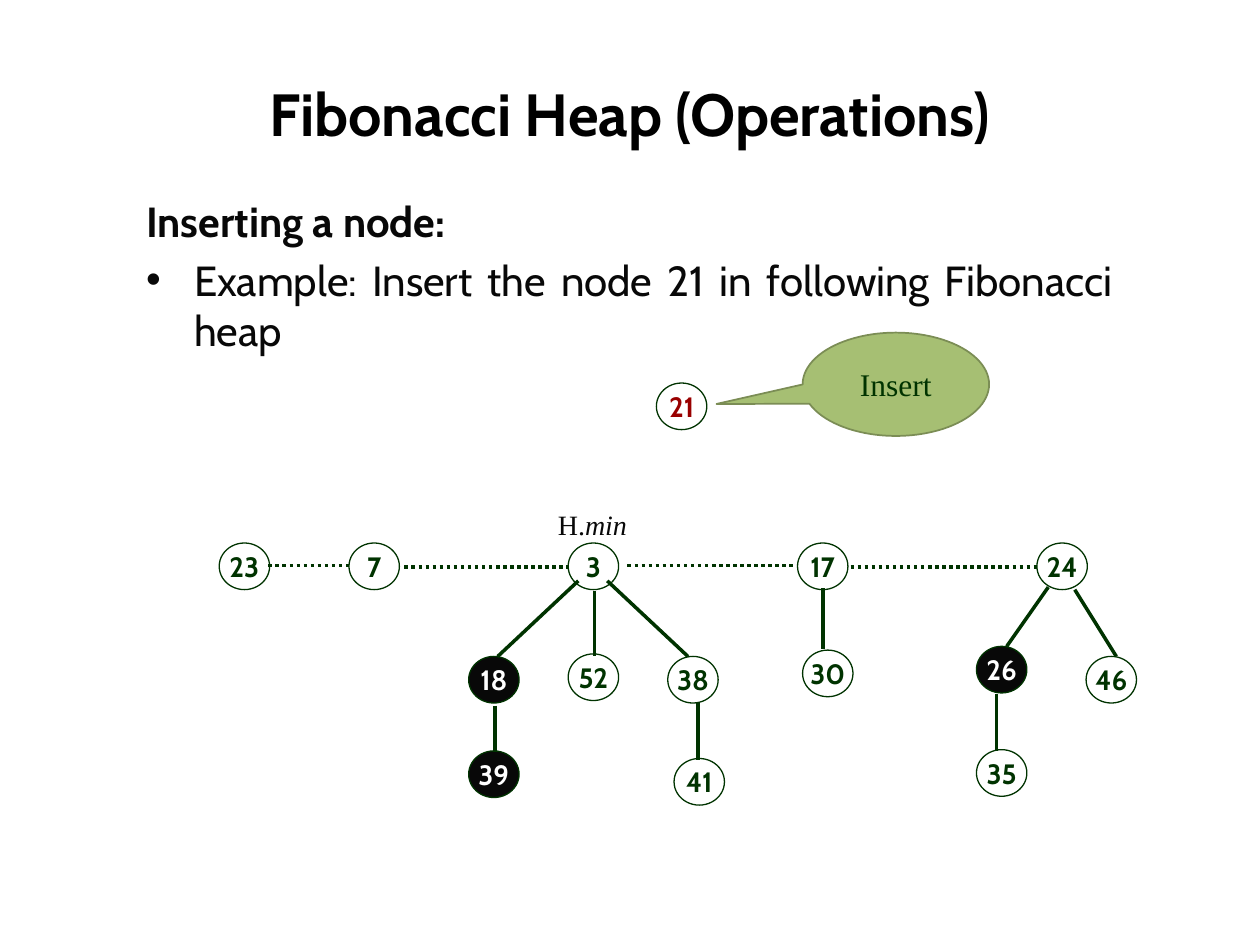
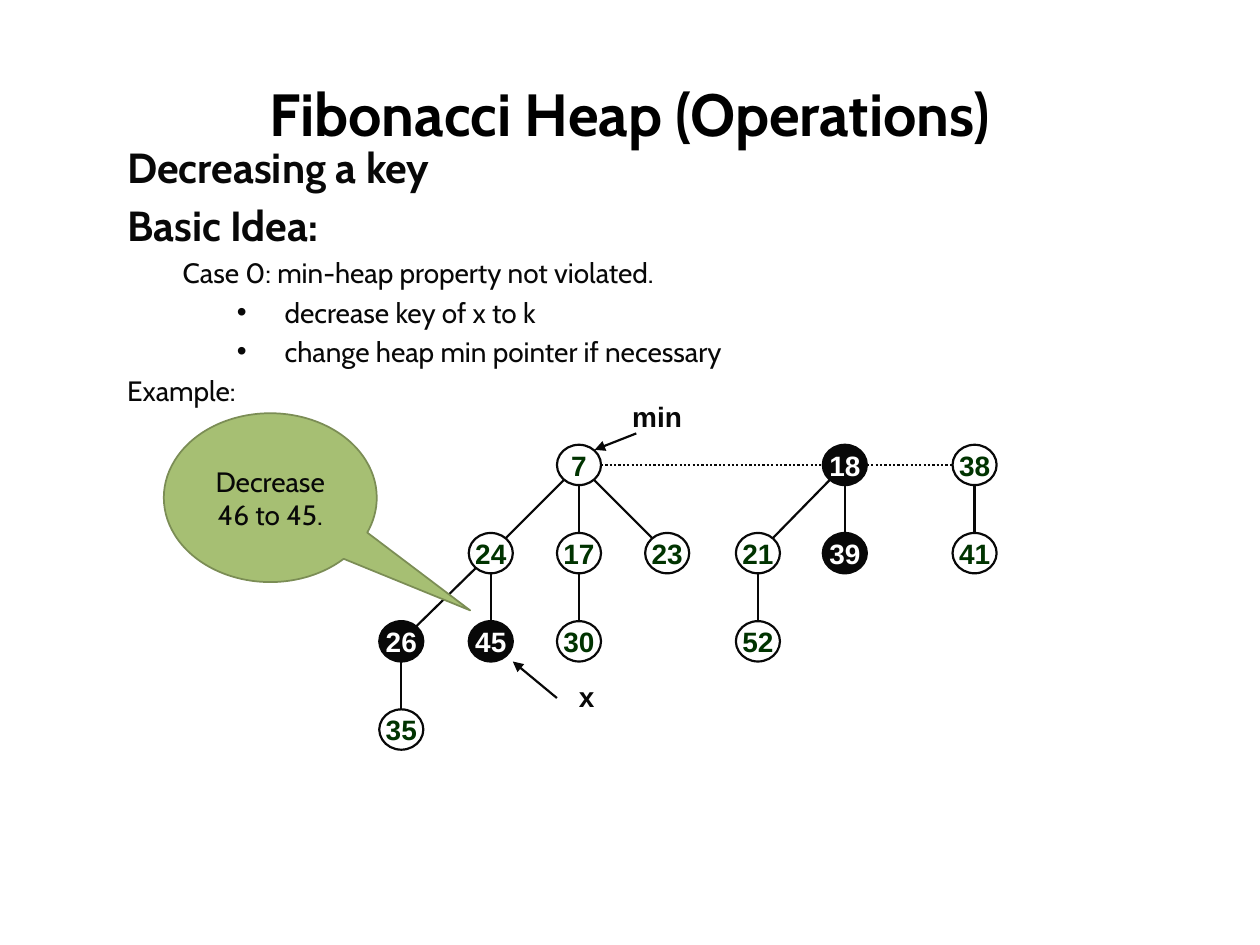
from dataclasses import dataclass

from lxml.etree import SubElement
from pptx import Presentation
from pptx.dml.color import RGBColor as RGB
from pptx.enum.dml import MSO_LINE as DASH
from pptx.enum.shapes import MSO_CONNECTOR as CONN, MSO_SHAPE as FORM
from pptx.enum.text import MSO_ANCHOR as ANCHOR, MSO_AUTO_SIZE as FIT, PP_ALIGN as ALIGN
from pptx.oxml.ns import qn
from pptx.util import Inches, Pt


@dataclass(frozen=True)
class Theme:
    black: str = "000000"
    ink: str = "080808"
    white: str = "FFFFFF"
    green: str = "003300"
    red: str = "990000"
    leaf: str = "A6BF73"
    moss: str = "7B8D55"
    main: str = "Cabin"
    sans: str = "Arial"
    serif: str = "Times New Roman"
    title: int = 34
    head: int = 24
    note: int = 18
    small: int = 16


T = Theme()
TITLE = "Fibonacci Heap (Operations)"


def put(item, **vals):
    for key, val in vals.items():
        setattr(item, key, val)


def place(item, left, top, width, height):
    put(item, left=Inches(left), top=Inches(top),
        width=Inches(width), height=Inches(height))


def write(para, text, size=T.small, color=T.ink, font=T.main, bold=False, italic=False):
    run = para.add_run()
    run.text = text
    put(run.font, size=Pt(size), name=font, bold=bold, italic=italic)
    run.font.color.rgb = RGB.from_string(color)


class Deck:
    def __init__(self):
        self.show = Presentation()
        put(self.show, slide_width=Inches(10), slide_height=Inches(7.5))

    def start(self, title):
        self.slide = self.show.slides.add_slide(self.show.slide_layouts[1])
        self.shapes = self.slide.shapes
        head = self.shapes.title
        place(head, 0.5, 0.5, 9, 0.79)
        put(head.text_frame, vertical_anchor=ANCHOR.MIDDLE, auto_size=FIT.NONE)
        para = head.text_frame.paragraphs[0]
        para.alignment = ALIGN.CENTER
        write(para, title, T.title, T.black, bold=True)

    def body(self, box, rows):
        """Fill the list from rows of text, size, bold, level, margin, indent."""
        item = self.slide.placeholders[1]
        place(item, *box)
        frame = item.text_frame
        frame.auto_size = FIT.NONE
        for i, (text, size, bold, level, margin, indent) in enumerate(rows):
            para = frame.add_paragraph() if i else frame.paragraphs[0]
            put(para, level=level, alignment=ALIGN.JUSTIFY)
            if not i:
                para.space_before = Pt(0)
            props = para._p.get_or_add_pPr()
            props.set("marL", str(Inches(margin)))
            props.set("indent", str(Inches(indent)))
            if not indent:
                SubElement(props, qn("a:buNone"))
            write(para, text, size, bold=bold)

    def shape(self, form, box, text, fill, line=None, weight=1, wrap=True, **style):
        item = self.shapes.add_shape(form, *map(Inches, box))
        item.shadow.inherit = False
        item.fill.solid()
        item.fill.fore_color.rgb = RGB.from_string(fill)
        if line:
            item.line.color.rgb = RGB.from_string(line)
            item.line.width = Pt(weight)
        else:
            item.line.fill.background()
        frame = item.text_frame
        put(frame, word_wrap=wrap, vertical_anchor=ANCHOR.MIDDLE)
        if not wrap:
            put(frame, margin_left=0, margin_right=0, margin_top=0, margin_bottom=0)
        para = frame.paragraphs[0]
        para.alignment = ALIGN.CENTER
        write(para, text, **style)
        return item

    def node(self, key, left, top, size, dark=False, color=T.green, **style):
        self.shape(FORM.OVAL, (left, top, *size), str(key), T.ink if dark else T.white,
                   wrap=False, bold=True, color=T.white if dark else color, **style)

    def bubble(self, box, text, tip, **style):
        item = self.shape(FORM.OVAL_CALLOUT, box, text, T.leaf, T.moss, **style)
        for i, val in enumerate(tip):
            item.adjustments[i] = val

    def line(self, ends, color, weight, dots=False, arrow=False):
        item = self.shapes.add_connector(CONN.STRAIGHT, *map(Inches, ends))
        item.line.color.rgb = RGB.from_string(color)
        item.line.width = Pt(weight)
        if dots:
            item.line.dash_style = DASH.ROUND_DOT
        props = item._element.spPr
        if arrow:
            SubElement(props.find(qn("a:ln")), qn("a:headEnd"), type="triangle")
        SubElement(props, qn("a:effectLst"))

    def label(self, box, parts):
        frame = self.shapes.add_textbox(*map(Inches, box)).text_frame
        frame.word_wrap = False
        for text, italic in parts:
            write(frame.paragraphs[0], text, font=T.serif, italic=italic)


def insert(deck):
    deck.start(TITLE)
    deck.body((1.06, 1.5, 7.87, 4.5), [
        ("Inserting a node:", T.head, True, 0, 0, 0),
        ("Example: Insert the node 21 in following Fibonacci heap",
         T.head, False, 0, 0.38, -0.38)])
    size, look = (0.4, 0.37), dict(line=T.green, weight=0.75)
    root = 4.31
    nodes = [(23, 1.74, root), (7, 2.77, root), (3, 4.51, root), (17, 6.33, root),
             (24, 8.23, root), (18, 3.72, 5.21), (52, 4.51, 5.19), (38, 5.3, 5.21),
             (30, 6.37, 5.16), (26, 7.75, 5.13), (46, 8.62, 5.21), (39, 3.72, 5.96),
             (41, 5.35, 6.02), (35, 7.75, 5.95)]
    for key, left, top in nodes:
        deck.node(key, left, top, size, dark=key in (18, 26, 39), **look)
    for x, end, y in [(2.13, 2.77, 4.49), (3.21, 4.51, 4.5),
                      (4.98, 6.33, 4.49), (6.75, 8.23, 4.5)]:
        deck.line((x, y, end, y), T.green, 2, dots=True)
    for ends in [(4.59, 4.61, 3.95, 5.21), (4.72, 4.69, 4.72, 5.21),
                 (4.82, 4.61, 5.46, 5.21), (3.93, 5.6, 3.93, 5.97),
                 (5.54, 5.58, 5.54, 6.03), (6.53, 4.67, 6.53, 5.15),
                 (8.32, 4.66, 7.99, 5.13), (8.53, 4.68, 8.86, 5.21),
                 (7.91, 5.51, 7.91, 5.96)]:
        deck.line(ends, T.green, 2)
    deck.label((4.33, 3.98, 0.76, 0.37), [("H.", False), ("min", True)])
    deck.node(21, 5.21, 3.04, size, color=T.red, **look)
    deck.bubble((6.37, 2.64, 1.48, 0.82), "Insert", (-0.962, 0.19),
                size=T.note, color=T.green, font=T.serif)


def lower(deck):
    deck.start(TITLE)
    deck.body((0.91, 1.07, 8.35, 5.59), [
        ("Decreasing a key", T.head, True, 0, 0, 0),
        ("Basic Idea:", T.head, True, 0, 0, 0),
        ("Case 0: min-heap property not violated.", T.small, False, 1, 0.44, 0),
        ("decrease key of x to k", T.small, False, 2, 1.25, -0.38),
        ("change heap min pointer if necessary", T.small, False, 2, 1.25, -0.38),
        ("Example:", T.small, False, 2, 0, 0)])
    wide, high = size = (0.35, 0.32)
    cols = [3.01, 3.72, 4.42, 5.12, 5.84, 6.53, 7.56]
    rows = [3.53 + 0.7 * i for i in range(4)]
    grid = {7: (2, 0), 18: (5, 0), 38: (6, 0), 24: (1, 1), 17: (2, 1), 23: (3, 1),
            21: (4, 1), 39: (5, 1), 41: (6, 1), 26: (0, 2), 45: (1, 2), 30: (2, 2),
            52: (4, 2), 35: (0, 3)}
    spots = {key: (cols[col], rows[row]) for key, (col, row) in grid.items()}
    for key, spot in spots.items():
        deck.node(key, *spot, size, dark=key in (18, 26, 39, 45),
                  line=T.ink, weight=1.25, font=T.sans)

    def link(top, low):
        """Join two nodes from rim to rim: level, upright or slanting."""
        (x, y), (end, base) = spots[top], spots[low]
        side, down = (end > x) - (end < x), base > y
        dx = side * (0.12 if down else wide / 2)
        dy = (0.12 if side else high / 2) if down else 0
        x, end, y, base = x + wide / 2, end + wide / 2, y + high / 2, base + high / 2
        deck.line((x + dx, y + dy, end - dx, base - dy), T.ink, 1.25, dots=not down)

    for top, lows in {7: (24, 17, 23, 18), 18: (21, 39, 38), 38: (41,),
                      24: (26, 45), 17: (30,), 21: (52,), 26: (35,)}.items():
        for low in lows:
            link(top, low)
    for ends in [(4.72, 3.57, 5.05, 3.44), (4.07, 5.25, 4.42, 5.54)]:
        deck.line(ends, T.ink, 1.25, arrow=True)
    deck.bubble((1.3, 3.28, 1.69, 1.34), "Decrease 46 to 45.", (0.939, 0.668))
    for name, left, top in [("x", 4.48, 5.37), ("min", 5.04, 3.14)]:
        deck.node(name, left, top, size, color=T.ink, font=T.sans)


def main():
    deck = Deck()
    insert(deck)
    lower(deck)
    deck.show.save("out.pptx")


if __name__ == "__main__":
    main()
